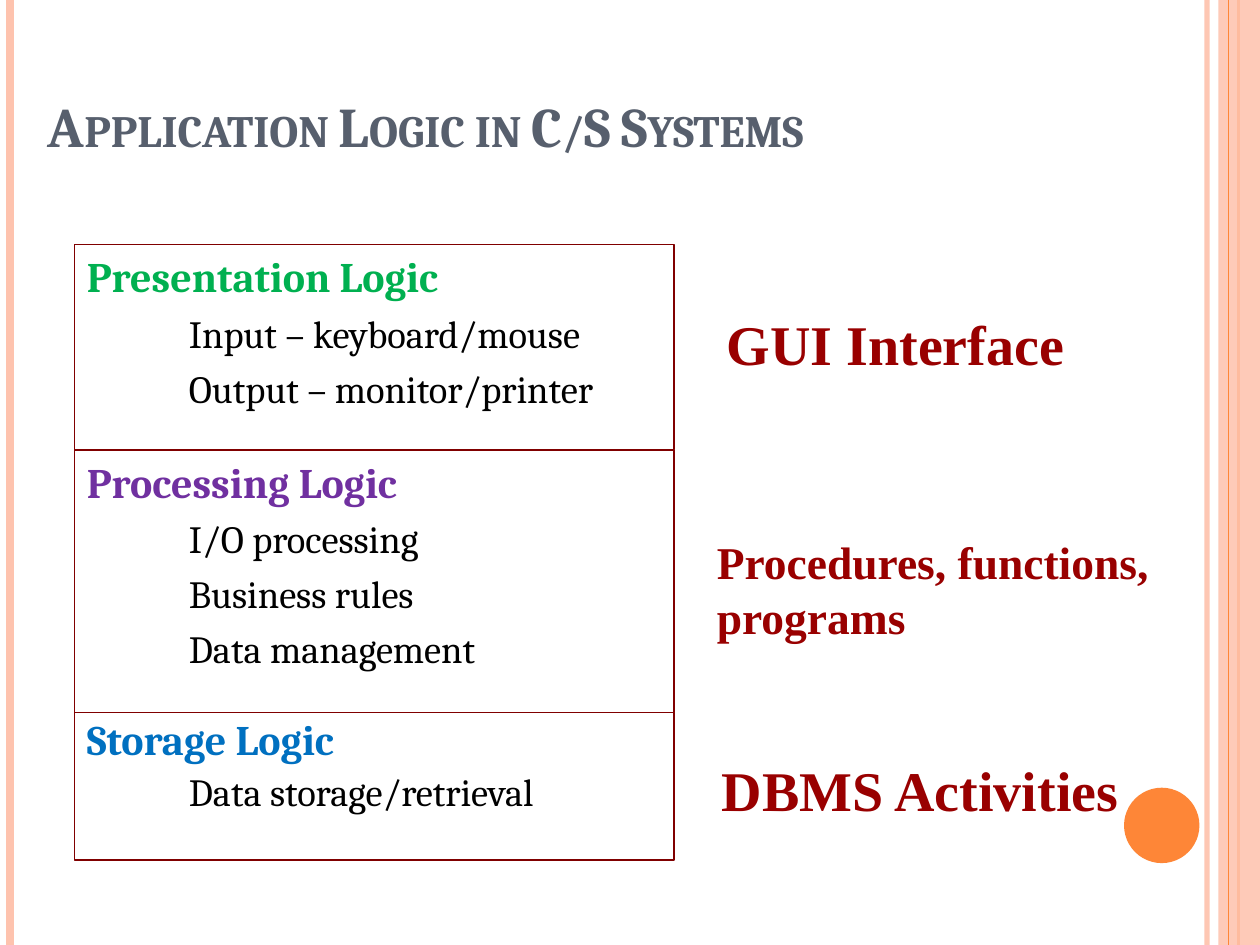
from lxml.etree import SubElement
from pptx import Presentation
from pptx.dml.color import RGBColor
from pptx.enum.shapes import MSO_CONNECTOR, MSO_SHAPE
from pptx.enum.text import MSO_ANCHOR, MSO_AUTO_SIZE, PP_ALIGN
from pptx.oxml.ns import qn
from pptx.util import Cm, Pt

PEACH = RGBColor(0xFE, 0xC3, 0xAE)
ORANGE = RGBColor(0xFE, 0x86, 0x37)
SLATE = RGBColor(0x57, 0x5F, 0x6D)
MAROON = RGBColor(0x80, 0x00, 0x00)
CRIMSON = RGBColor(0x99, 0x00, 0x00)
GREEN = RGBColor(0x00, 0xB0, 0x50)
PURPLE = RGBColor(0x70, 0x30, 0xA0)
BLUE = RGBColor(0x00, 0x70, 0xC0)
BLACK = RGBColor(0x00, 0x00, 0x00)

TITLE = "Application Logic in C/S Systems"
LAYERS = [
    ("Presentation Logic", GREEN, ["Input – keyboard/mouse", "Output – monitor/printer"], 4.14, 1.0),
    ("Processing Logic", PURPLE, ["I/O processing", "Business rules", "Data management"], 5.3, 1.0),
    ("Storage Logic", BLUE, ["Data storage/retrieval"], 2.97, 0.9),
]
EXAMPLES = [
    (["GUI Interface"], 32, (14.4, 6.12, 7.39, 1.63)),
    (["Procedures, functions,", "programs"], 26, (14.2, 10.64, 9.3, 2.49)),
    (["DBMS Activities"], 32, (14.3, 15.11, 8.59, 1.63)),
]
STRIPES = [(24.33, PEACH, 3, 93), (0.2, PEACH, 4.5, 100), (24.97, ORANGE, 1.5, 100)]
INNER_STRIPE = (24.77, ORANGE, 0.75, 100)
LAYERS_LEFT, LAYERS_TOP, LAYERS_WIDTH = 1.5, 4.93, 12.09
SLIDE_WIDTH, SLIDE_HEIGHT = 25.4, 19.05


def set_opacity(element, percent):
    if percent < 100:
        color = next(element.iter(qn("a:srgbClr")))
        SubElement(color, qn("a:alpha")).set("val", str(percent * 1000))


def add_stripe(slide, x, color, width, opacity):
    stripe = slide.shapes.add_connector(MSO_CONNECTOR.STRAIGHT, Cm(x), 0, Cm(x), Cm(SLIDE_HEIGHT))
    stripe.line.color.rgb = color
    stripe.line.width = Pt(width)
    properties = stripe._element.spPr
    set_opacity(properties, opacity)
    SubElement(properties, qn("a:effectLst"))


def add_shape(slide, preset, box, fill=None, opacity=100):
    shape = slide.shapes.add_shape(preset, *map(Cm, box))
    shape.shadow.inherit = False
    if fill is None:
        shape.fill.background()
        shape.line.color.rgb = MAROON
        shape.line.width = Pt(0.75)
    else:
        shape.fill.solid()
        shape.fill.fore_color.rgb = fill
        set_opacity(shape._element.spPr, opacity)
        shape.line.fill.background()
    return shape


def write(frame, texts):
    frame.text = "\n".join(texts)
    return frame.paragraphs


def style(paragraph, face, size, color, bold):
    paragraph.alignment = PP_ALIGN.LEFT
    font = paragraph.font
    font.name, font.size, font.bold = face, Pt(size), bold
    font.color.rgb = color


def add_title(slide):
    title = slide.shapes.title
    title.left, title.top, title.width, title.height = map(Cm, (0.71, 0.36, 22.86, 2.97))
    frame = title.text_frame
    frame.vertical_anchor = MSO_ANCHOR.BOTTOM
    frame.auto_size = MSO_AUTO_SIZE.NONE
    heading = write(frame, [TITLE])[0]
    style(heading, "Cambria", 32, SLATE, True)
    heading._p.pPr.find(qn("a:defRPr")).set("cap", "small")


def add_layer(slide, top, name, color, duties, height, spacing):
    layer = add_shape(slide, MSO_SHAPE.RECTANGLE, (LAYERS_LEFT, top, LAYERS_WIDTH, height))
    frame = layer.text_frame
    frame.vertical_anchor = MSO_ANCHOR.TOP
    heading, *items = write(frame, [name, *duties])
    heading.line_spacing = spacing
    style(heading, "Cambria", 24, color, True)
    for item in items:
        item.level = 1
        item.space_before = Pt(5)
        item.line_spacing = spacing
        item._p.get_or_add_pPr().set("marL", str(Cm(2.06)))
        style(item, "Cambria", 22, BLACK, False)


def add_example(slide, lines, size, box):
    frame = slide.shapes.add_textbox(*map(Cm, box)).text_frame
    frame.word_wrap = False
    frame.auto_size = MSO_AUTO_SIZE.SHAPE_TO_FIT_TEXT
    for paragraph in write(frame, lines):
        style(paragraph, "Times New Roman", size, CRIMSON, True)


def main():
    deck = Presentation()
    deck.slide_width, deck.slide_height = Cm(SLIDE_WIDTH), Cm(SLIDE_HEIGHT)
    slide = deck.slides.add_slide(deck.slide_layouts[5])
    for stripe in STRIPES:
        add_stripe(slide, *stripe)
    add_shape(slide, MSO_SHAPE.RECTANGLE, (24.56, 0, 0.84, SLIDE_HEIGHT), PEACH, 87)
    add_stripe(slide, *INNER_STRIPE)
    add_shape(slide, MSO_SHAPE.OVAL, (22.66, 15.88, 1.52, 1.52), ORANGE)
    add_title(slide)
    for example in EXAMPLES:
        add_example(slide, *example)
    top = LAYERS_TOP
    for name, color, duties, height, spacing in LAYERS:
        add_layer(slide, top, name, color, duties, height, spacing)
        top += height
    deck.save("out.pptx")


if __name__ == "__main__":
    main()
